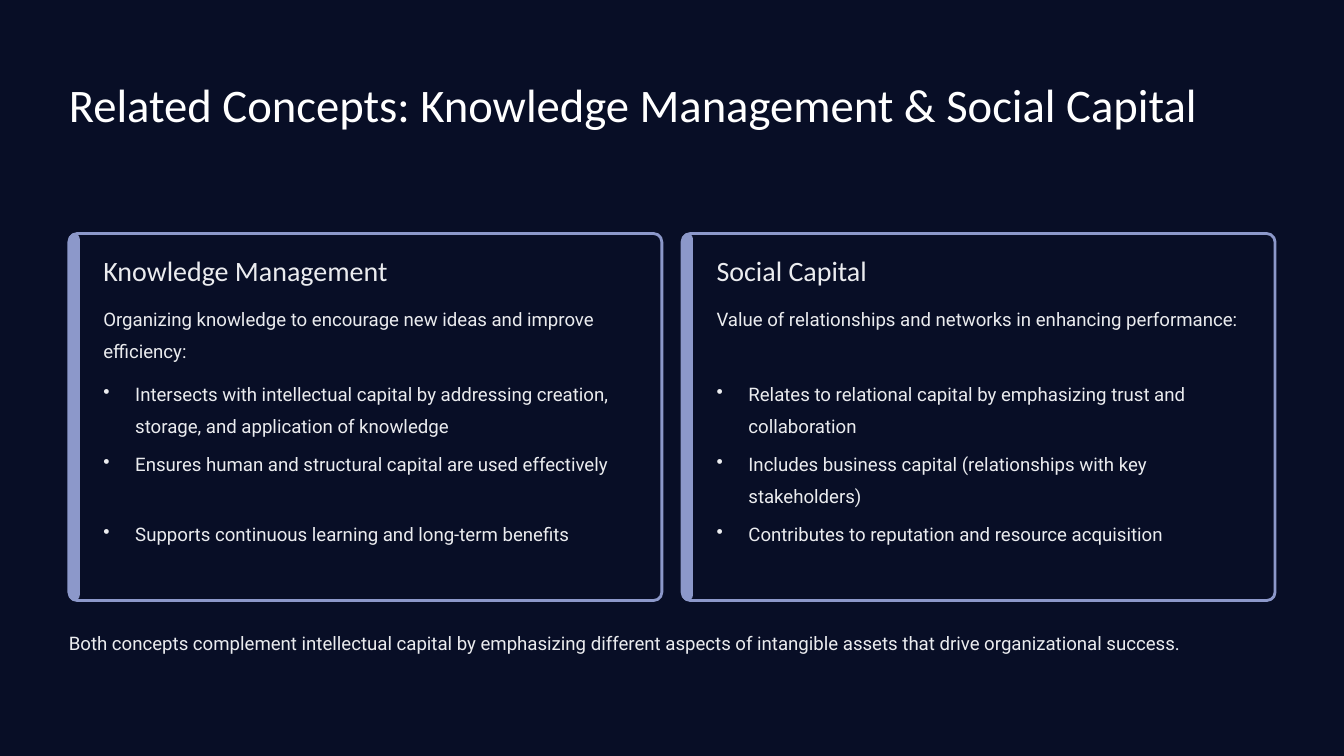
"""Build the slide on knowledge management and social capital."""
from dataclasses import dataclass

from lxml.etree import SubElement
from pptx import Presentation
from pptx.dml.color import RGBColor as Rgb
from pptx.enum.shapes import MSO_SHAPE as Preset
from pptx.enum.text import MSO_ANCHOR as Anchor
from pptx.oxml.ns import qn
from pptx.util import Inches, Pt

TITLE = "Related Concepts: Knowledge Management & Social Capital"
CONCEPTS = [
    {
        "heading": "Knowledge Management",
        "summary": "Organizing knowledge to encourage new ideas and improve efficiency:",
        "points": [
            "Intersects with intellectual capital by addressing creation, storage, and application of knowledge",
            "Ensures human and structural capital are used effectively",
            "Supports continuous learning and long-term benefits",
        ],
    },
    {
        "heading": "Social Capital",
        "summary": "Value of relationships and networks in enhancing performance:",
        "points": [
            "Relates to relational capital by emphasizing trust and collaboration",
            "Includes business capital (relationships with key stakeholders)",
            "Contributes to reputation and resource acquisition",
        ],
    },
]
CONCLUSION = (
    "Both concepts complement intellectual capital by emphasizing different aspects "
    "of intangible assets that drive organizational success."
)


@dataclass(frozen=True)
class Theme:
    """Colours, fonts and type sizes."""
    navy: Rgb = Rgb.from_string("080E26")
    periwinkle: Rgb = Rgb.from_string("8C98CA")
    white: Rgb = Rgb.from_string("FFFFFF")
    mist: Rgb = Rgb.from_string("EBECEF")
    heading_font: str = "Calibri"
    body_font: str = "Roboto"
    title_size: float = 40
    title_leading: float = 53
    heading_size: float = 24
    heading_leading: float = 26.5
    body_size: float = 16
    body_leading: float = 27
    border: float = 2.4


THEME = Theme()
MARGIN, CONTENT_W = 0.82, 14.35
CARD_TOP, CARD_W, CARD_H, CARD_STEP = 2.78, 7.06, 4.37, 7.3
ACCENT_W, TEXT_INSET, TEXT_W = 0.13, 0.41, 6.39
HEADING_TOP, HEADING_H, SUMMARY_TOP = 3.05, 0.37, 3.56
POINTS_TOP, POINT_STEP, BODY_H = 4.45, 0.835, 0.75
BULLET_INDENT = 0.38


def add_text(slide, text, left, top, width, height, *, font=THEME.body_font,
             size=THEME.body_size, leading=THEME.body_leading,
             color=THEME.mist, bullet=False):
    """Add a text box holding one formatted paragraph."""
    frame = slide.shapes.add_textbox(
        Inches(left), Inches(top), Inches(width), Inches(height)).text_frame
    frame.word_wrap = True
    frame.vertical_anchor = Anchor.TOP
    frame.margin_left = frame.margin_right = frame.margin_top = frame.margin_bottom = 0
    paragraph = frame.paragraphs[0]
    paragraph.line_spacing = Pt(leading)
    if bullet:
        properties = paragraph._p.get_or_add_pPr()
        properties.set("marL", str(Inches(BULLET_INDENT)))
        properties.set("indent", str(-Inches(BULLET_INDENT)))
        SubElement(properties, qn("a:buChar")).set("char", "•")
    run = paragraph.add_run()
    run.text = text
    run.font.name = font
    run.font.size = Pt(size)
    run.font.color.rgb = color


def add_panel(slide, left, width, rounding, fill, border=None):
    """Add a rounded panel as tall as a card."""
    panel = slide.shapes.add_shape(
        Preset.ROUNDED_RECTANGLE, Inches(left), Inches(CARD_TOP), Inches(width), Inches(CARD_H))
    panel.adjustments[0] = rounding
    panel.shadow.inherit = False
    panel.fill.solid()
    panel.fill.fore_color.rgb = fill
    if border is None:
        panel.line.fill.background()
    else:
        panel.line.color.rgb = border
        panel.line.width = Pt(THEME.border)


def add_concept(slide, concept, left):
    """Add one concept card with its accent bar and text."""
    add_panel(slide, left, CARD_W, 0.023, THEME.navy, THEME.periwinkle)
    add_panel(slide, left, ACCENT_W, 0.5, THEME.periwinkle)
    text_left = left + TEXT_INSET
    add_text(slide, concept["heading"], text_left, HEADING_TOP, TEXT_W, HEADING_H,
             font=THEME.heading_font, size=THEME.heading_size, leading=THEME.heading_leading)
    add_text(slide, concept["summary"], text_left, SUMMARY_TOP, TEXT_W, BODY_H)
    for row, point in enumerate(concept["points"]):
        add_text(slide, point, text_left, POINTS_TOP + row * POINT_STEP, TEXT_W, BODY_H,
                 bullet=True)


def main():
    """Build and save the slide."""
    deck = Presentation()
    deck.slide_width, deck.slide_height = Inches(16), Inches(9)
    slide = deck.slides.add_slide(deck.slide_layouts[6])
    slide.background.fill.solid()
    slide.background.fill.fore_color.rgb = THEME.navy
    add_text(slide, TITLE, MARGIN, 0.83, CONTENT_W, 1.47, font=THEME.heading_font,
             size=THEME.title_size, leading=THEME.title_leading, color=THEME.white)
    for column, concept in enumerate(CONCEPTS):
        add_concept(slide, concept, MARGIN + column * CARD_STEP)
    add_text(slide, CONCLUSION, MARGIN, 7.41, CONTENT_W, BODY_H)
    deck.save("out.pptx")


if __name__ == "__main__":
    main()
